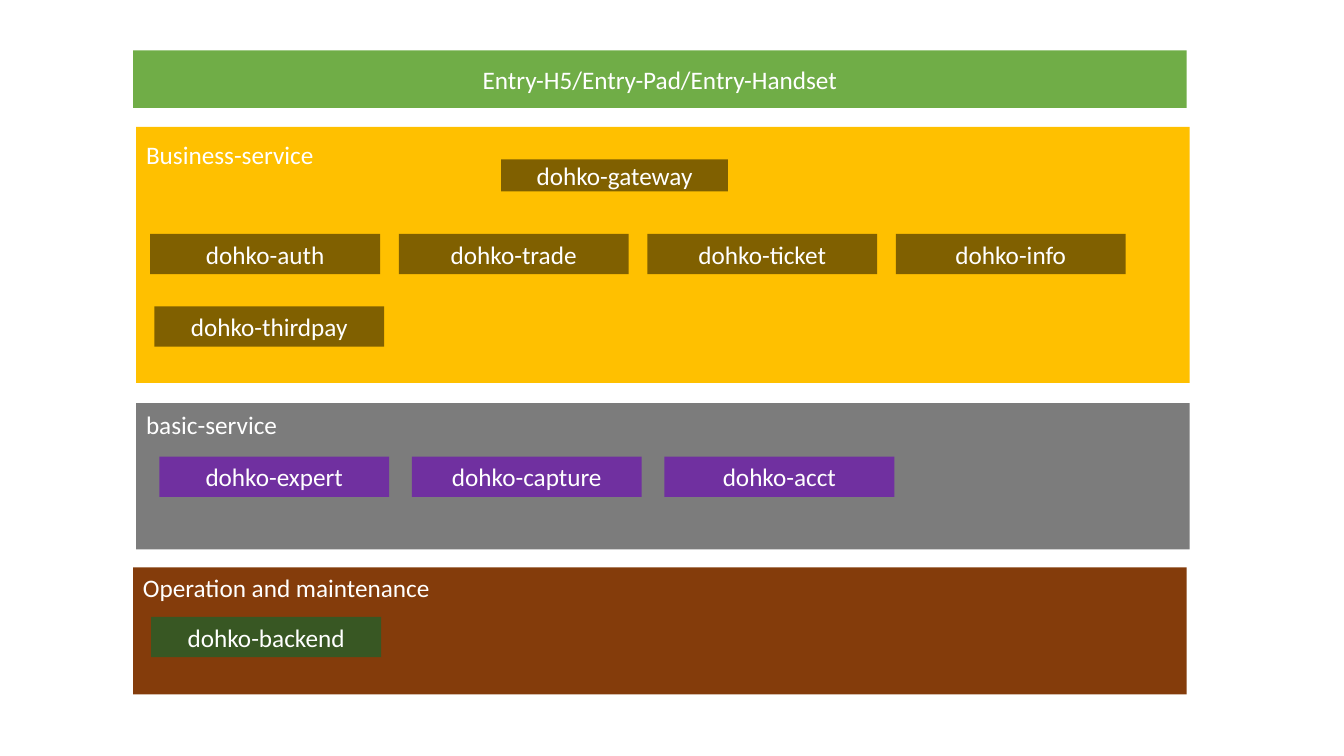
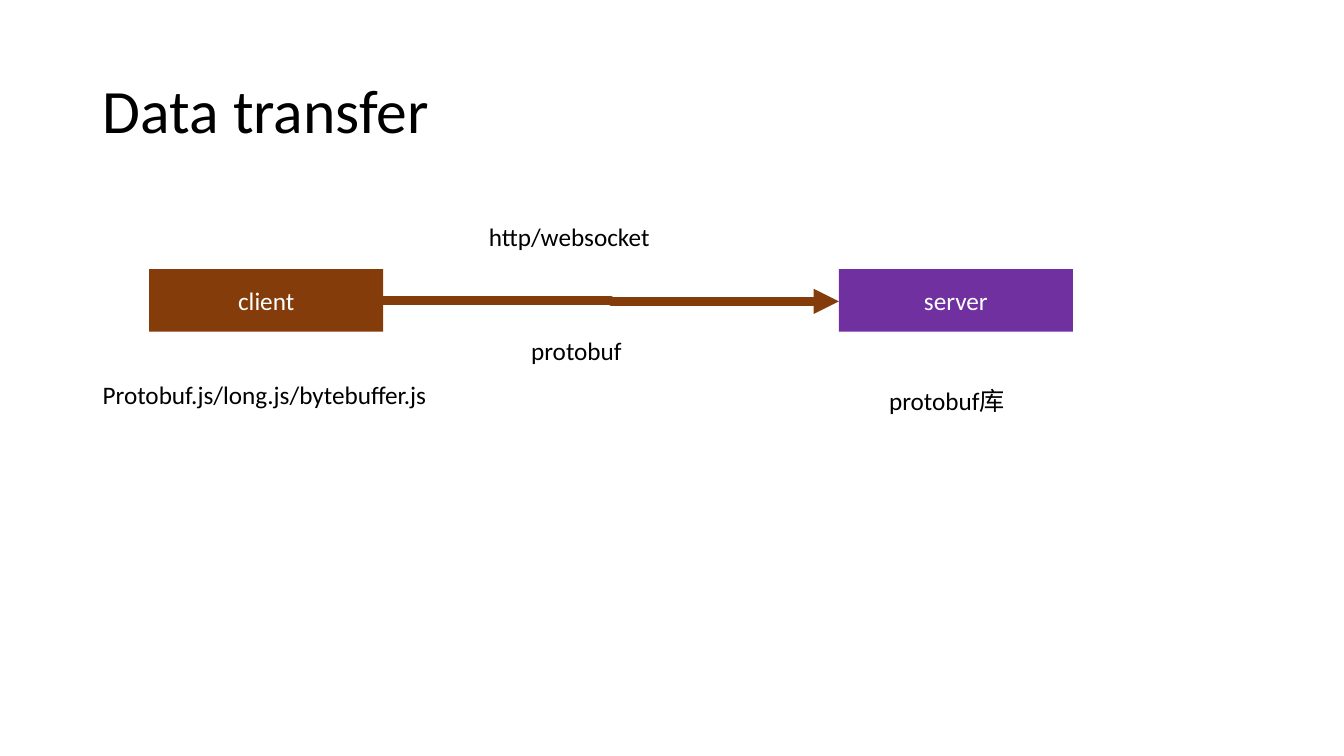
"""Build two slides: a service architecture and its data transfer."""
import pptx
import pptx.dml.color
import pptx.enum.shapes
import pptx.enum.text
import pptx.oxml
import pptx.oxml.ns
import pptx.util
from pptx.util import Inches

RGBColor = pptx.dml.color.RGBColor
WHITE = RGBColor(0xFF, 0xFF, 0xFF)
BLACK = RGBColor(0, 0, 0)
GREEN = RGBColor(0x70, 0xAD, 0x47)
DARK_GREEN = RGBColor(0x38, 0x57, 0x23)
GOLD = RGBColor(0xFF, 0xC0, 0x00)
OLIVE = RGBColor(0x80, 0x60, 0x00)
GRAY = RGBColor(0x7C, 0x7C, 0x7C)
BROWN = RGBColor(0x84, 0x3C, 0x0B)
PURPLE = RGBColor(0x70, 0x30, 0xA0)
FONT = "Calibri"

BAND_WIDTH = 10.45
SERVICE_WIDTH, SERVICE_HEIGHT = 2.28, 0.4
LABEL_HEIGHT = 0.4
NODE_TOP, NODE_WIDTH, NODE_HEIGHT = 2.67, 2.32, 0.62

# fields: left, top, height, colour, centred text
BANDS = [
    (1.32, 0.5, 0.57, GREEN, "Entry-H5/Entry-Pad/Entry-Handset"),
    (1.35, 1.26, 2.54, GOLD, ""),
    (1.35, 4, 1.45, GRAY, ""),
    (1.32, 5.63, 1.26, BROWN, ""),
]
BAND_LABELS = [
    ("Business-service", 1.35, 1.33, 1.91),
    ("basic-service", 1.35, 4.01, 1.91),
    ("Operation and maintenance", 1.32, 5.63, 4.57),
]
GATEWAY = ("dohko-gateway", 4.97, 1.58, 2.25, 0.32)
SERVICE_ROWS = [
    (1.49, 2.32, 2.465, OLIVE, ["dohko-auth", "dohko-trade", "dohko-ticket", "dohko-info"]),
    (1.53, 3.04, 0, OLIVE, ["dohko-thirdpay"]),
    (1.58, 4.53, 2.505, PURPLE, ["dohko-expert", "dohko-capture", "dohko-acct"]),
    (1.5, 6.12, 0, DARK_GREEN, ["dohko-backend"]),
]
TRANSFER_TITLE = "Data transfer"
CLIENT = ("client", 1.48, BROWN)
SERVER = ("server", 8.32, PURPLE)
TRANSFER_LABELS = [
    ("http/websocket", 4.75, 2.15, 2.73),
    ("protobuf", 5.17, 3.28, 1.5),
    ("Protobuf.js/long.js/bytebuffer.js", 0.92, 3.71, 3.6),
    ("protobuf库", 8.72, 3.77, 1.5),
]


def write(frame, text, color, size=18, align=pptx.enum.text.PP_ALIGN.LEFT):
    """Put one formatted run in the first paragraph and return the paragraph."""
    paragraph = frame.paragraphs[0]
    paragraph.alignment = align
    run = paragraph.add_run()
    run.text = text
    run.font.name = FONT
    run.font.size = pptx.util.Pt(size)
    run.font.color.rgb = color
    return paragraph


def add_box(slide, text, left, top, width, height, color):
    """Add a filled rectangle with optional centred white text."""
    box = slide.shapes.add_shape(
        pptx.enum.shapes.MSO_SHAPE.RECTANGLE,
        Inches(left), Inches(top), Inches(width), Inches(height))
    box.shadow.inherit = False
    box.fill.solid()
    box.fill.fore_color.rgb = color
    box.line.fill.background()
    if text:
        box.text_frame.vertical_anchor = pptx.enum.text.MSO_ANCHOR.MIDDLE
        write(box.text_frame, text, WHITE, align=pptx.enum.text.PP_ALIGN.CENTER)
    return box


def add_label(slide, text, left, top, width, color):
    """Add a wrapped text label."""
    label = slide.shapes.add_textbox(
        Inches(left), Inches(top), Inches(width), Inches(LABEL_HEIGHT))
    label.text_frame.word_wrap = True
    label.text_frame.auto_size = pptx.enum.text.MSO_AUTO_SIZE.SHAPE_TO_FIT_TEXT
    write(label.text_frame, text, color)


def add_transfer_arrow(slide, client, server):
    """Join client to server with a thick elbow arrow."""
    arrow = slide.shapes.add_connector(
        pptx.enum.shapes.MSO_CONNECTOR.ELBOW, 0, 0, 0, 0)
    arrow.begin_connect(client, 3)
    arrow.end_connect(server, 1)
    arrow.end_y = Inches(2.99)
    arrow.line.color.rgb = BROWN
    arrow.line.width = pptx.util.Pt(6)
    tail = pptx.oxml.parse_xml(
        '<a:tailEnd %s type="triangle"/>' % pptx.oxml.ns.nsdecls("a"))
    arrow.line._get_or_add_ln().append(tail)
    arrow._element.spPr.append(pptx.oxml.parse_xml(
        '<a:effectLst %s/>' % pptx.oxml.ns.nsdecls("a")))


def build_architecture(deck):
    """Draw the service bands and their services."""
    slide = deck.slides.add_slide(deck.slide_layouts[6])
    for left, top, height, color, text in BANDS:
        add_box(slide, text, left, top, BAND_WIDTH, height, color)
    for label in BAND_LABELS:
        add_label(slide, *label, WHITE)
    add_box(slide, *GATEWAY, OLIVE)
    for left, top, pitch, color, services in SERVICE_ROWS:
        for column, service in enumerate(services):
            add_box(slide, service, left + column * pitch, top,
                    SERVICE_WIDTH, SERVICE_HEIGHT, color)


def build_transfer(deck):
    """Draw the client, the server and the protocol between them."""
    slide = deck.slides.add_slide(deck.slide_layouts[5])
    title = slide.shapes.title
    title.left, title.top = Inches(0.92), Inches(0.4)
    title.width, title.height = Inches(11.5), Inches(1.45)
    title.text_frame.vertical_anchor = pptx.enum.text.MSO_ANCHOR.MIDDLE
    write(title.text_frame, TRANSFER_TITLE, BLACK, 44).line_spacing = 0.9
    client, server = [
        add_box(slide, name, left, NODE_TOP, NODE_WIDTH, NODE_HEIGHT, color)
        for name, left, color in (CLIENT, SERVER)]
    add_transfer_arrow(slide, client, server)
    for label in TRANSFER_LABELS:
        add_label(slide, *label, BLACK)


presentation = pptx.Presentation()
presentation.slide_width = Inches(13.33)
presentation.slide_height = Inches(7.5)
build_architecture(presentation)
build_transfer(presentation)
presentation.save("out.pptx")
